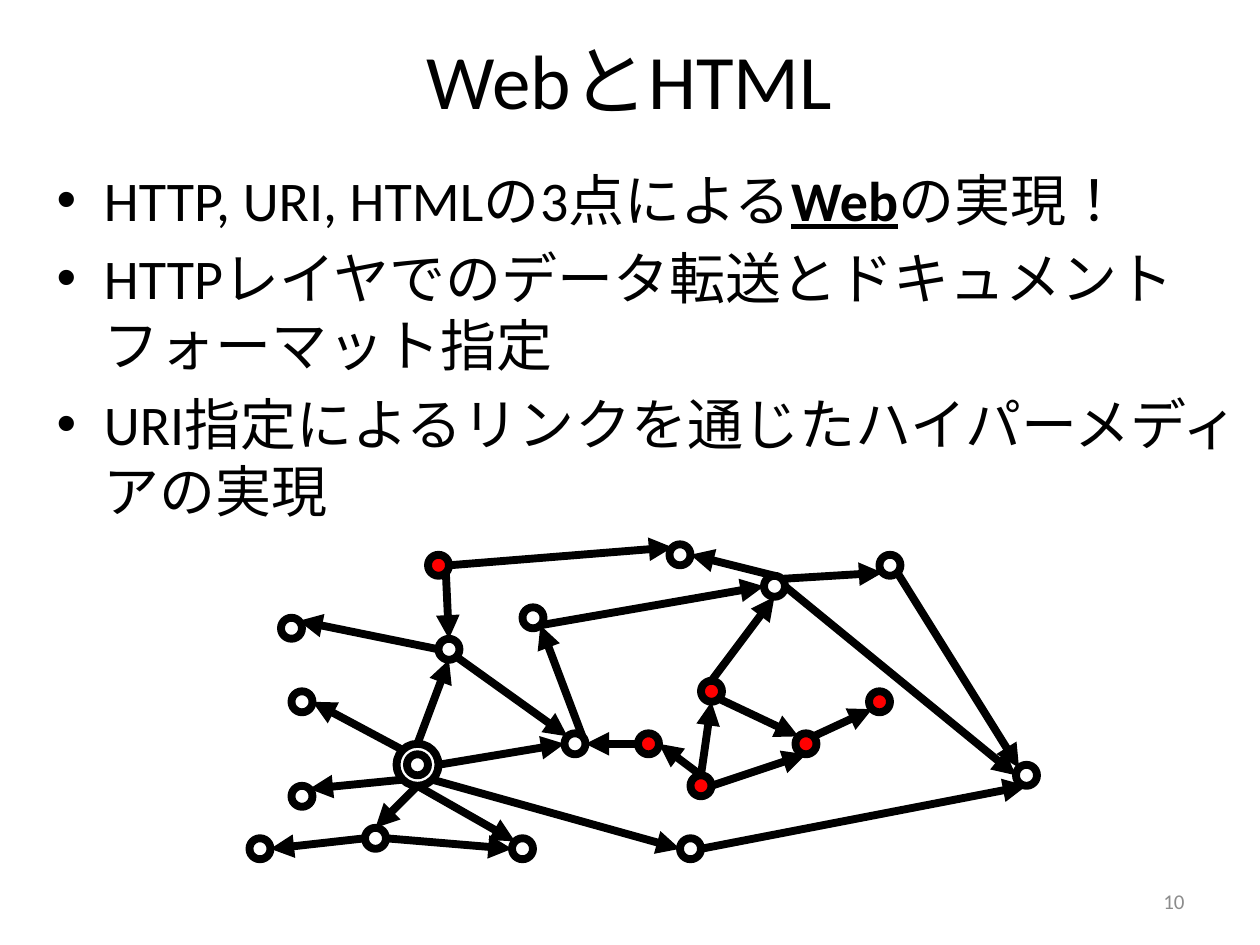
"""Build a slide on the Web and HTML with a graph of linked pages."""
from dataclasses import dataclass
from math import cos, radians, sin

from lxml import etree
from pptx import Presentation
from pptx import util as u
from pptx.dml.color import RGBColor
from pptx.enum import lang, shapes, text
from pptx.oxml import ns

BLACK = RGBColor(0, 0, 0)
RED = RGBColor(255, 0, 0)
GRAY = RGBColor(0x8C, 0x8C, 0x8C)
CELL = 1 / 12
LEFT, TOP = 1.98, 4.32
STROKE = 4.5
ANGLES = {"E": 0, "SE": 45, "S": 90, "SW": 135, "W": 180, "NW": 225, "N": 270, "NE": 315}


@dataclass(frozen=True)
class Node:
    col: float
    row: float
    red: bool = False
    span: int = 2

    def site(self, side: str) -> tuple[float, float]:
        rad, turn = self.span / 2, radians(ANGLES[side])
        return self.col + rad * (1 + cos(turn)), self.row + rad * (1 + sin(turn))


@dataclass(frozen=True)
class Link:
    start: str
    leave: str
    end: str
    enter: str


NODES = {
    "start": Node(17, 1, True), "mid": Node(18, 9), "core": Node(30, 18),
    "hub": Node(14, 19, span=4), "eye": Node(15, 20),
    "west1": Node(3, 7), "west2": Node(4, 14), "west3": Node(4, 23), "west4": Node(0, 28),
    "low1": Node(11, 27), "low2": Node(25, 28), "low3": Node(41, 28),
    "top1": Node(26, 6), "top2": Node(40, 0), "top3": Node(49, 3), "top4": Node(60, 1),
    "far": Node(73, 21), "red1": Node(37, 18, True), "red2": Node(43, 13, True),
    "red3": Node(42, 22, True), "red4": Node(52, 18, True), "red5": Node(59, 14, True),
}
LINKS = [Link(*row.split()) for row in (
    "hub N mid S", "hub E core W", "hub NW west2 E", "hub SW west3 NE",
    "hub S low1 N", "hub S low2 NW", "hub SE low3 W",
    "start SE mid N", "start E top2 NW", "mid W west1 NE", "mid SE core NW",
    "core NE top1 SE", "top1 SE top3 W", "top3 N top2 E", "top3 NE top4 SW",
    "top3 E far W", "top4 SE far NW", "low3 E far S",
    "low1 E low2 W", "low1 W west4 E", "red1 W core E",
    "red2 N top3 S", "red2 SE red4 NW", "red3 N red2 S",
    "red3 N red1 E", "red3 E red4 S", "red4 NE red5 SW",
)]


def place(col: float, row: float) -> tuple[int, int]:
    return u.Inches(LEFT + col * CELL), u.Inches(TOP + row * CELL)


def style(item, **form) -> None:
    for name, value in form.items():
        setattr(item, name, value)


def write(par, words: str, size: int, color: RGBColor = BLACK, **form) -> None:
    run = par.add_run()
    run.text = words
    style(run.font, name="Calibri", size=u.Pt(size),
          language_id=lang.MSO_LANGUAGE_ID.JAPANESE, **form)
    run.font.color.rgb = color


def frame(shape, box: tuple, **form):
    for name, value in zip(("left", "top", "width", "height"), box):
        setattr(shape, name, u.Inches(value))
    style(shape.text_frame, word_wrap=True, auto_size=text.MSO_AUTO_SIZE.NONE, **form)
    return shape.text_frame


def ink(line) -> None:
    line.color.rgb = BLACK
    line.width = u.Pt(STROKE)


def draw_node(tree, node: Node) -> None:
    size = u.Inches(node.span * CELL)
    dot = tree.add_shape(shapes.MSO_SHAPE.OVAL, *place(node.col, node.row), size, size)
    dot.shadow.inherit = False
    if node.red:
        dot.fill.solid()
        dot.fill.fore_color.rgb = RED
    else:
        dot.fill.background()
    ink(dot.line)


def draw_link(tree, link: Link) -> None:
    start = place(*NODES[link.start].site(link.leave))
    end = place(*NODES[link.end].site(link.enter))
    wire = tree.add_connector(shapes.MSO_CONNECTOR.STRAIGHT, *start, *end)
    ink(wire.line)
    prop = wire.element.spPr
    etree.SubElement(prop.find(ns.qn("a:ln")), ns.qn("a:tailEnd"), type="triangle")
    etree.SubElement(prop, ns.qn("a:effectLst"))


def main() -> None:
    deck = Presentation()
    style(deck, slide_width=u.Inches(10), slide_height=u.Inches(7.5))
    slide = deck.slides.add_slide(deck.slide_layouts[1])
    tree = slide.shapes
    mid = text.MSO_ANCHOR.MIDDLE

    title = frame(tree.title, (0.35, 0, 9.29, 1.25), vertical_anchor=mid)
    write(title.paragraphs[0], "WebとHTML", 44)

    body = frame(slide.placeholders[1], (0.35, 1.26, 9.65, 5.8))
    items = (
        (("HTTP, URI, HTMLの3点による", {}), ("Web", {"bold": True, "underline": True}),
         ("の実現！", {})),
        (("HTTPレイヤでのデータ転送とドキュメントフォーマット指定", {}),),
        (("URI指定によるリンクを通じたハイパーメディアの実現", {}),),
    )
    for num, item in enumerate(items):
        par = body.add_paragraph() if num else body.paragraphs[0]
        for words, form in item:
            write(par, words, 32, **form)

    page = frame(tree.add_textbox(0, 0, 0, 0), (7.17, 6.95, 2.33, 0.4), vertical_anchor=mid)
    page.paragraphs[0].alignment = text.PP_ALIGN.RIGHT
    write(page.paragraphs[0], "10", 12, GRAY)

    for node in NODES.values():
        draw_node(tree, node)
    for link in LINKS:
        draw_link(tree, link)
    deck.save("out.pptx")


main()
